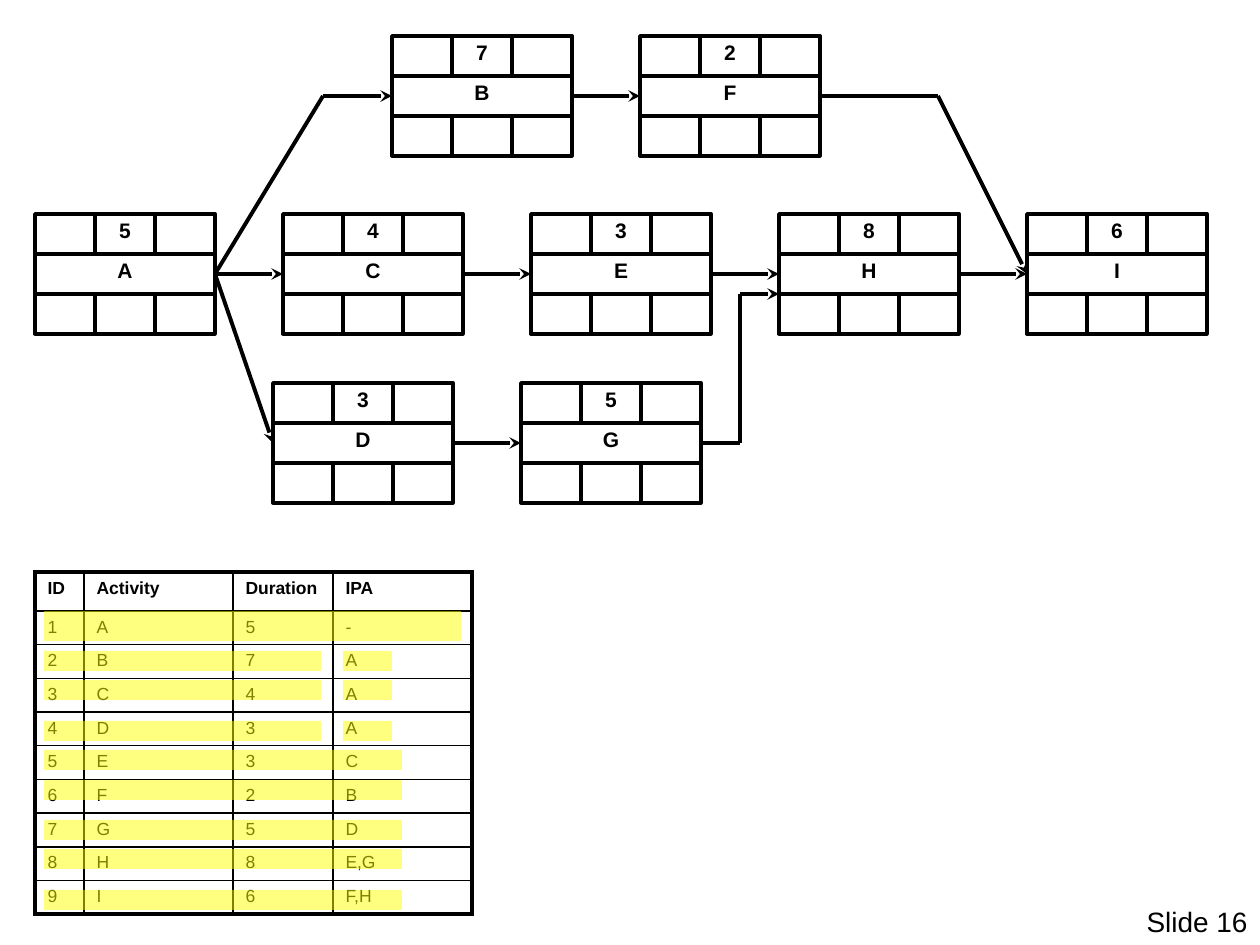
from lxml import etree
from pptx import Presentation
from pptx.dml.color import RGBColor
from pptx.enum.shapes import MSO_CONNECTOR, MSO_SHAPE
from pptx.enum.text import MSO_ANCHOR, PP_ALIGN
from pptx.oxml.ns import qn
from pptx.util import Emu, Pt

RECT, LINE = MSO_SHAPE.RECTANGLE, MSO_CONNECTOR.STRAIGHT
TOP, CENTER, RIGHT = MSO_ANCHOR.TOP, PP_ALIGN.CENTER, PP_ALIGN.RIGHT
SCALE = 914400 / 126
FONT = "Arial"
COLORS = {"ink": "000000", "mark": "FFFF00"}
CELL_W, CELL_H = 60, 40
STEP = 248
THIN, THICK = 1, 2.25

# Each row: left, top, then name and duration of every node.
CHAINS = [
    (35, 214, [("A", 5), ("C", 4), ("E", 3), ("H", 8), ("I", 6)]),
    (392, 36, [("B", 7), ("F", 2)]),
    (273, 383, [("D", 3), ("G", 5)]),
]
LINKS = ["AC", "CE", "EH", "HI", "BF", "DG", "AD"]
COLS = [49, 149, 100, 139]
HEAD_H, BODY_H = 39, 303
ROWS = [
    ("ID", "Activity", "Duration", "IPA"),
    ("1", "A", "5", "-"),
    ("2", "B", "7", "A"),
    ("3", "C", "4", "A"),
    ("4", "D", "3", "A"),
    ("5", "E", "3", "C"),
    ("6", "F", "2", "B"),
    ("7", "G", "5", "D"),
    ("8", "H", "8", "E,G"),
    ("9", "I", "6", "F,H"),
]


def px(*nums):
    """Turn pixels into EMU."""
    return [Emu(round(n * SCALE)) for n in nums]


def rgb(name):
    """Look up a colour."""
    return RGBColor.from_string(COLORS[name])


def write(frame, text, size, bold=False, align=None, space=None):
    """Put one styled paragraph in a text frame."""
    para = frame.paragraphs[0]
    para.text = text
    para.alignment = align
    para.line_spacing = space
    para.font.name, para.font.size, para.font.bold = FONT, Pt(size), bold
    para.font.color.rgb = rgb("ink")


def add_box(slide, x, y, w, h, text=""):
    """Draw an outlined cell of a node."""
    box = slide.shapes.add_shape(RECT, *px(x, y, w, h))
    box.shadow.inherit = False
    box.fill.background()
    box.line.color.rgb, box.line.width = rgb("ink"), Pt(2)
    if text:
        box.text_frame.vertical_anchor = TOP
        write(box.text_frame, text, 12, True, CENTER, 0.9)


def add_node(slide, x, y, name, days):
    """Draw an activity node of three rows."""
    add_box(slide, x, y + CELL_H, 3 * CELL_W, CELL_H, name)
    for row in (0, 2):
        for col in range(3):
            text = str(days) if (row, col) == (0, 1) else ""
            add_box(slide, x + col * CELL_W, y + row * CELL_H, CELL_W, CELL_H, text)


def add_line(slide, start, end, arrow=False):
    """Draw a straight line, with an arrowhead if asked."""
    line = slide.shapes.add_connector(LINE, *px(*start, *end))
    line.line.color.rgb, line.line.width = rgb("ink"), Pt(THICK)
    if arrow:
        etree.SubElement(line.line._get_or_add_ln(), qn("a:tailEnd"), type="stealth")
    etree.SubElement(line._element.spPr, qn("a:effectLst"))


def add_path(slide, points, arrow=True):
    """Draw joined lines with the arrowhead on the last."""
    for i in range(1, len(points)):
        add_line(slide, points[i - 1], points[i], arrow and i == len(points) - 1)


def add_mark(slide, x, y, w, h=20):
    """Draw a see-through highlight."""
    mark = slide.shapes.add_shape(RECT, *px(x, y, w, h))
    mark.shadow.inherit = False
    mark.line.fill.background()
    mark.fill.solid()
    mark.fill.fore_color.rgb = rgb("mark")
    color = mark._element.spPr.find(qn("a:solidFill")).find(qn("a:srgbClr"))
    etree.SubElement(color, qn("a:alpha"), val="50000")


def add_edges(cell, outer):
    """Set cell borders, thick on the outer sides."""
    props = cell._tc.get_or_add_tcPr()
    for i, side in enumerate("LRTB"):
        width = THICK if side in outer else THIN
        edge = etree.Element(qn("a:ln" + side), w=str(Pt(width)))
        fill = etree.SubElement(edge, qn("a:solidFill"))
        etree.SubElement(fill, qn("a:srgbClr"), val=COLORS["ink"])
        props.insert(i, edge)


def add_grid(slide, x, y):
    """Draw the activity table."""
    count = len(ROWS)
    area = px(x, y, sum(COLS), HEAD_H + BODY_H)
    table = slide.shapes.add_table(count, len(COLS), *area).table
    table.first_row = table.horz_banding = False
    for col, width in zip(table.columns, px(*COLS)):
        col.width = width
    heights = [HEAD_H] + [BODY_H / (count - 1)] * (count - 1)
    for r, height in enumerate(px(*heights)):
        table.rows[r].height = height
        for c, text in enumerate(ROWS[r]):
            cell = table.cell(r, c)
            cell.fill.background()
            write(cell.text_frame, text, 10, r == 0)
            sides = {"L": c == 0, "R": c == len(COLS) - 1, "T": r == 0, "B": r == count - 1}
            add_edges(cell, [side for side in sides if sides[side]])


def add_label(slide, text, x, y, w, h):
    """Write the slide number."""
    box = slide.shapes.add_textbox(*px(x, y, w, h))
    box.text_frame.word_wrap = True
    write(box.text_frame, text, 16, align=RIGHT, space=0.9)


def main():
    """Build the slide."""
    deck = Presentation()
    deck.slide_width, deck.slide_height = px(1260, 945)
    slide = deck.slides.add_slide(deck.slide_layouts[6])
    add_label(slide, "Slide 16", 1086, 902, 174, 43)

    ins, outs = {}, {}
    for left, top, nodes in CHAINS:
        for i, (name, days) in enumerate(nodes):
            x, mid = left + i * STEP, top + 3 * CELL_H // 2
            add_node(slide, x, top, name, days)
            ins[name], outs[name] = (x, mid), (x + 3 * CELL_W, mid)

    for start, end in LINKS:
        add_path(slide, [outs[start], ins[end]])
    add_path(slide, [outs["A"], (323, 96), ins["B"]])
    add_path(slide, [outs["F"], (938, 96), ins["I"]])
    add_path(slide, [outs["G"], (740, 443), (740, 294), (779, 294)])

    add_grid(slide, 35, 572)
    add_mark(slide, 44, 611, 417, 30)
    for y in (651, 680, 721):
        add_mark(slide, 44, y, 277)
        add_mark(slide, 343, y, 49)
    for y in (750, 780, 820, 849, 890):
        add_mark(slide, 44, y, 358)
    deck.save("out.pptx")


if __name__ == "__main__":
    main()
